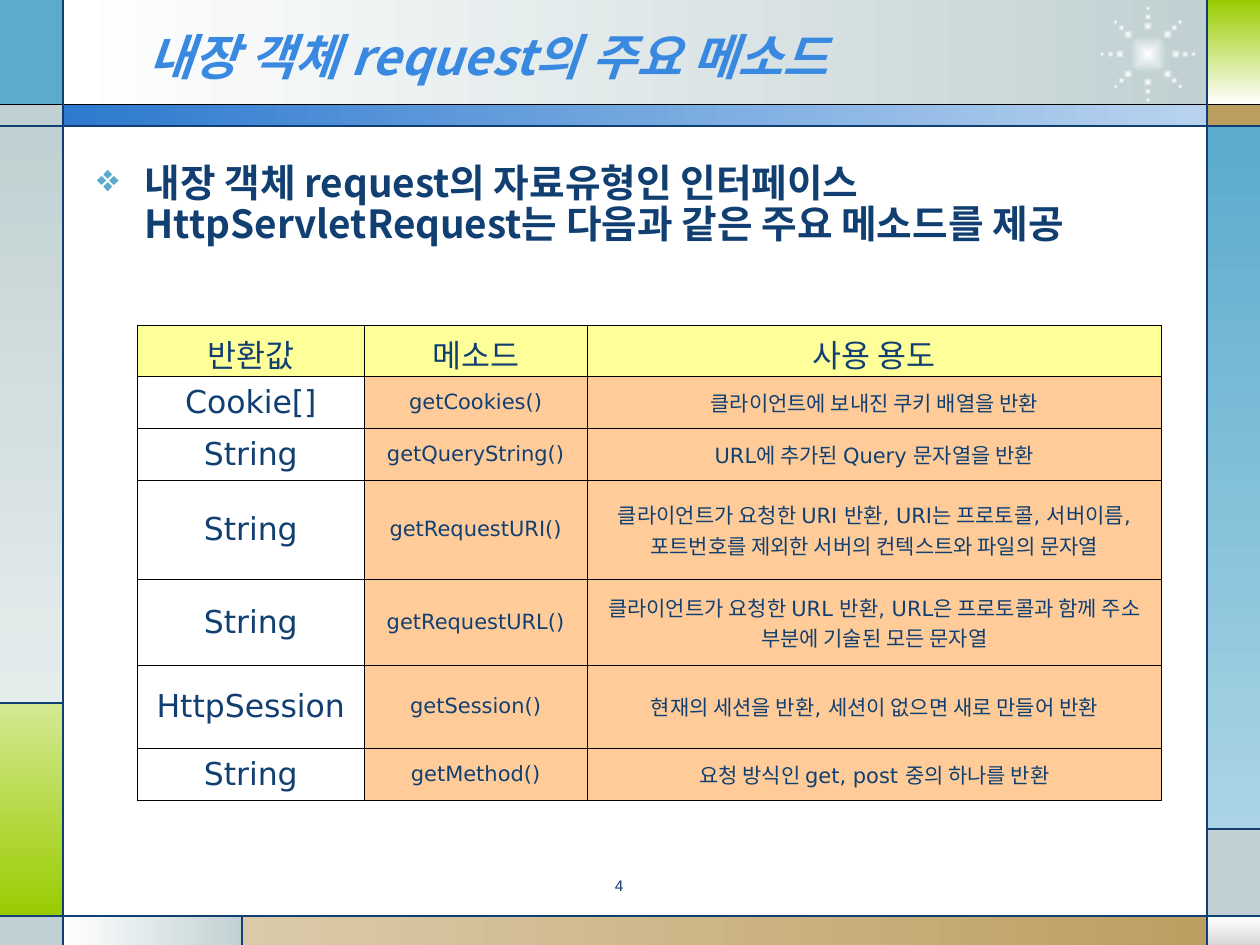
from math import cos, radians, sin

from lxml import etree
from pptx import Presentation
from pptx.dml.color import RGBColor
from pptx.enum.shapes import MSO_CONNECTOR, MSO_SHAPE
from pptx.enum.text import MSO_ANCHOR, PP_ALIGN
from pptx.oxml.ns import qn
from pptx.util import Inches, Pt

RECT, OVAL = MSO_SHAPE.RECTANGLE, MSO_SHAPE.OVAL
LINE = MSO_CONNECTOR.STRAIGHT
MIDDLE, TOP = MSO_ANCHOR.MIDDLE, MSO_ANCHOR.TOP
LEFT, CENTER = PP_ALIGN.LEFT, PP_ALIGN.CENTER
HEX = {
    "white": "FFFFFF", "black": "000000", "navy": "113F71", "title": "3989E1",
    "sky": "5AABCC", "pale": "AAD4E5", "gray": "C1D1D3", "mist": "E5ECEC",
    "silver": "D8D8D8", "lime": "99CC00", "leaf": "D4E993", "sand": "DBCAA9",
    "tan": "BD9E61", "blue": "2D7ACF", "ice": "B9D3EF",
    "head": "FFFF99", "cell": "FFCC99",
}
SANS, KOREAN, ARIAL = "DejaVu Sans", "Noto Sans CJK KR", "Arial"
COLS = (0, 0.5, 1.92, 9.58, 10)
ROWS = (0, 0.83, 1, 5.58, 6.58, 7.27, 7.5)
PANELS = (
    (1, 0, 3, 1, "white", "gray", 0),
    (0, 0, 1, 1, "sky", None, 0),
    (0, 1, 1, 2, "gray", None, 0),
    (0, 2, 1, 3, "gray", "mist", 270),
    (0, 3, 1, 5, "leaf", "lime", 270),
    (0, 5, 1, 6, "gray", None, 0),
    (1, 5, 2, 6, "white", "gray", 0),
    (2, 5, 3, 6, "sand", "tan", 0),
    (3, 5, 4, 6, "white", "silver", 270),
    (3, 4, 4, 5, "gray", None, 0),
    (3, 2, 4, 4, "sky", "pale", 270),
    (3, 1, 4, 2, "tan", None, 0),
    (3, 0, 4, 1, "lime", "white", 270),
    (1, 1, 3, 2, "blue", "ice", 0),
)
RULES = (
    (0, 1, 4, 1, "black"), (0, 2, 4, 2, "navy"), (0, 5, 4, 5, "navy"),
    (1, 0, 1, 6, "navy"), (3, 0, 3, 6, "navy"), (0, 3, 1, 3, "navy"),
    (2, 5, 2, 6, "navy"), (3, 4, 4, 4, "navy"),
)
WIDTHS = (1.8, 1.77, 4.56)
HEIGHTS = (0.41, 0.41, 0.41, 0.79, 0.68, 0.66, 0.41)
METHODS = (
    ("반환값", "메소드", "사용 용도"),
    ("Cookie[]", "getCookies()", "클라이언트에 보내진 쿠키 배열을 반환"),
    ("String", "getQueryString()", "URL에 추가된 Query 문자열을 반환"),
    ("String", "getRequestURI()",
     "클라이언트가 요청한 URI 반환, URI는 프로토콜, 서버이름, "
     "포트번호를 제외한 서버의 컨텍스트와 파일의 문자열"),
    ("String", "getRequestURL()",
     "클라이언트가 요청한 URL 반환, URL은 프로토콜과 함께 "
     "주소 부분에 기술된 모든 문자열"),
    ("HttpSession", "getSession()", "현재의 세션을 반환, 세션이 없으면 새로 만들어 반환"),
    ("String", "getMethod()", "요청 방식인 get, post 중의 하나를 반환"),
)


def tint(name):
    """Return the named colour."""
    return RGBColor.from_string(HEX[name])


def emu(box):
    """Turn a box of inches into lengths."""
    return [Inches(part) for part in box]


def block(shapes, kind, box, start, end=None, angle=0):
    """Add a borderless shape with a plain or graded fill."""
    shape = shapes.add_shape(kind, *emu(box))
    shape.shadow.inherit = False
    shape.line.fill.background()
    if end is None:
        shape.fill.solid()
        shape.fill.fore_color.rgb = tint(start)
        return shape
    shape.fill.gradient()
    shape.fill.gradient_angle = angle
    for stop, name in zip(shape.fill.gradient_stops, (start, end)):
        stop.color.rgb = tint(name)
    return shape


def frame(shapes, box):
    """Lay the coloured border panels and their rules on the grid."""
    xs = [box[0] + col for col in COLS]
    ys = [box[1] + row for row in ROWS]
    for a, b, c, d, start, end, angle in PANELS:
        area = xs[a], ys[b], xs[c] - xs[a], ys[d] - ys[b]
        block(shapes, RECT, area, start, end, angle)
    for a, b, c, d, name in RULES:
        rule = shapes.add_connector(LINE, *emu((xs[a], ys[b], xs[c], ys[d])))
        rule.line.color.rgb = tint(name)
        rule.line.width = Pt(0.74)
        etree.SubElement(rule.element.spPr, qn("a:effectLst"))


def glow(shapes, x, y, size):
    """Add a dot that fades out from its centre."""
    dot = block(shapes, OVAL, (x - size / 2, y - size / 2, size, size), "white", "gray")
    grad = dot.element.spPr.find(qn("a:gradFill"))
    old = grad.find(qn("a:lin"))
    fade = etree.Element(qn("a:path"), path="rect")
    etree.SubElement(fade, qn("a:fillToRect"), dict.fromkeys("ltrb", "50000"))
    grad.replace(old, fade)


def spark(shapes, box):
    """Draw eight rays of shrinking dots round a bright core."""
    x, y, size = box[0] + box[2] / 2, box[1] + box[3] / 2, box[2]
    glow(shapes, x, y, size * 0.41)
    for turn in range(0, 360, 45):
        for reach, dot in ((0.3, 0.1), (0.4, 0.07), (0.49, 0.05)):
            far = size * reach
            glow(shapes, x + far * cos(radians(turn)), y + far * sin(radians(turn)), size * dot)


def write(text, words, size, color, face, align=LEFT, anchor=MIDDLE, bold=False, slant=False):
    """Write one styled run into a text frame and return its paragraph."""
    text.word_wrap = True
    text.vertical_anchor = anchor
    para = text.paragraphs[0]
    para.alignment = align
    run = para.add_run()
    run.text = words
    font = run.font
    font.size, font.name, font.bold, font.italic = Pt(size), face, bold, slant
    font.color.rgb = tint(color)
    etree.SubElement(run._r.get_or_add_rPr(), qn("a:ea"), typeface=KOREAN)
    return para


def head(slide, box):
    """Place and style the title above the frame."""
    title = slide.shapes.title
    title.left, title.top, title.width, title.height = emu(box)
    title.element.getparent().append(title.element)
    write(title.text_frame, "내장 객체 request의 주요 메소드", 28, "title", KOREAN,
          bold=True, slant=True)


def lead(shapes, box):
    """Add the bulleted opening statement."""
    text = shapes.add_textbox(*emu(box)).text_frame
    words = "내장 객체 request의 자료유형인 인터페이스 HttpServletRequest는 다음과 같은 주요 메소드를 제공"
    para = write(text, words, 22.1, "navy", KOREAN, anchor=TOP, bold=True)
    para.line_spacing = 0.9
    para.space_before = Pt(6.5)
    props = para._p.get_or_add_pPr()
    props.set("marL", str(Inches(0.38)))
    props.set("indent", str(-Inches(0.38)))
    paint = etree.SubElement(props, qn("a:buClr"))
    etree.SubElement(paint, qn("a:srgbClr"), val=HEX["sky"])
    etree.SubElement(props, qn("a:buChar"), char="❖")


def edge(cell):
    """Draw thin black lines round a cell."""
    props = cell._tc.get_or_add_tcPr()
    for spot, side in enumerate("LRTB"):
        line = etree.Element(qn(f"a:ln{side}"), w=str(Pt(0.45)))
        fill = etree.SubElement(line, qn("a:solidFill"))
        etree.SubElement(fill, qn("a:srgbClr"), val=HEX["black"])
        props.insert(spot, line)


def grid(shapes, box):
    """Add the table of methods."""
    table = shapes.add_table(len(HEIGHTS), len(WIDTHS), *emu(box)).table
    table.first_row = table.horz_banding = False
    for col, width in zip(table.columns, WIDTHS):
        col.width = Inches(width)
    for r, (height, words) in enumerate(zip(HEIGHTS, METHODS)):
        table.rows[r].height = Inches(height)
        for c, word in enumerate(words):
            cell = table.cell(r, c)
            cell.margin_left = cell.margin_right = Inches(0.06)
            cell.vertical_anchor = MIDDLE
            if r and not c:
                cell.fill.background()
            else:
                cell.fill.solid()
                cell.fill.fore_color.rgb = tint("cell" if r else "head")
            write(cell.text_frame, word, 12 if r and c else 18, "navy", SANS, CENTER)
            edge(cell)


def foot(shapes, box):
    """Add the page number."""
    text = shapes.add_textbox(*emu(box)).text_frame
    write(text, "4", 8.8, "navy", ARIAL, CENTER, TOP).line_spacing = 0.8


def build():
    """Build and save the slide."""
    deck = Presentation()
    deck.slide_width, deck.slide_height = Inches(10), Inches(7.5)
    slide = deck.slides.add_slide(deck.slide_layouts[5])
    shapes = slide.shapes
    frame(shapes, (0, 0, 10, 7.5))
    spark(shapes, (8.74, 0.06, 0.74, 0.74))
    head(slide, (1.08, 0.13, 7.33, 0.62))
    lead(shapes, (0.67, 1.25, 8.77, 1.25))
    foot(shapes, (3.75, 6.93, 2.33, 0.27))
    grid(shapes, (1.09, 2.58, sum(WIDTHS), sum(HEIGHTS)))
    deck.save("out.pptx")


build()
